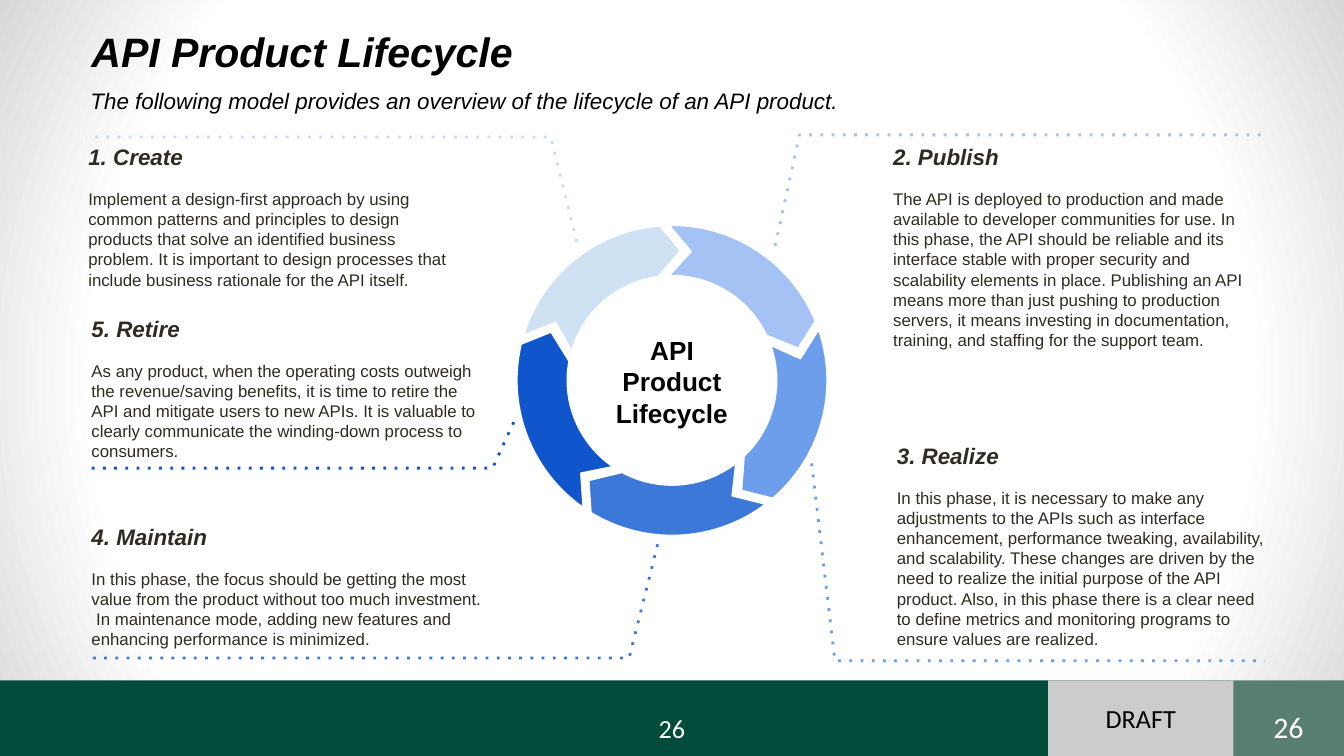
import math

import lxml.etree
import pptx
import pptx.dml.color
import pptx.enum.shapes
import pptx.enum.text
import pptx.oxml
import pptx.oxml.ns
import pptx.util

Cm = pptx.util.Cm
Pt = pptx.util.Pt
qn = pptx.oxml.ns.qn
ANCHOR = pptx.enum.text.MSO_ANCHOR
CENTER = pptx.enum.text.PP_ALIGN.CENTER


def rgb(value):
    return pptx.dml.color.RGBColor.from_string(value)


def add_text(box, paragraphs, color, font="Arial", align=None,
             anchor=ANCHOR.TOP, inset=(0, 0)):
    """Add a text box; paragraphs are (text, size, bold, italic)."""
    tf = s.shapes.add_textbox(*[Cm(v) for v in box]).text_frame
    tf.word_wrap = True
    tf.vertical_anchor = anchor
    tf.margin_left = tf.margin_right = Cm(inset[0])
    tf.margin_top = tf.margin_bottom = Cm(inset[1])
    for i, (text, size, bold, italic) in enumerate(paragraphs):
        p = tf.add_paragraph() if i else tf.paragraphs[0]
        p.text = text
        p.alignment = align
        p.font.name = font
        p.font.size = Pt(size)
        p.font.bold = bold
        p.font.italic = italic
        p.font.color.rgb = rgb(color)
    return tf


prs = pptx.Presentation()
prs.slide_width = Cm(25.4)
prs.slide_height = Cm(14.29)
s = prs.slides.add_slide(prs.slide_layouts[6])

# Background: white centre fading to grey corners
stops = "".join(
    f'<a:gs pos="{pos}"><a:srgbClr val="{color}"/></a:gs>'
    for pos, color in [(0, "FFFFFF"), (75000, "FFFFFF"), (100000, "D8D8D8")])
bg = pptx.oxml.parse_xml(
    f'<p:bg {pptx.oxml.ns.nsdecls("p", "a")}><p:bgPr>'
    f'<a:gradFill rotWithShape="1"><a:gsLst>{stops}</a:gsLst>'
    '<a:path path="circle"><a:fillToRect l="50000" t="50000" r="50000" b="50000"/>'
    '</a:path></a:gradFill><a:effectLst/></p:bgPr></p:bg>')
s._element.cSld.insert(0, bg)

# Footer bars and draft tag
for left, width, color in [(23.28, 2.12, "587E70"), (0, 23.28, "004B3A"),
                           (19.81, 3.5, "CCCCCC")]:
    sp = s.shapes.add_shape(pptx.enum.shapes.MSO_SHAPE.RECTANGLE,
                            Cm(left), Cm(12.86), Cm(width), Cm(1.43))
    sp.shadow.inherit = False
    sp.fill.solid()
    sp.fill.fore_color.rgb = rgb(color)
    sp.line.fill.background()
tf = sp.text_frame
tf.vertical_anchor = ANCHOR.MIDDLE
p = tf.paragraphs[0]
p.text = "DRAFT"
p.alignment = CENTER
p.font.name = "Calibri"
p.font.size = Pt(14)
p.font.color.rgb = rgb("000000")

# Page numbers
for box, size, anchor in [((23.5, 13.26, 1.7, 0.71), 16, ANCHOR.TOP),
                          ((12.04, 13.49, 1.32, 0.56), 14, ANCHOR.MIDDLE)]:
    add_text(box, [("26", size, False, False)], "FFFFFF", "Calibri", CENTER,
             anchor, (0.25, 0.13))

# Title and subtitle
for box, text, size, bold, anchor in [
    ((1.73, 0.37, 22.99, 1.3), "API Product Lifecycle", 22, True, ANCHOR.MIDDLE),
    ((1.71, 1.68, 22.2, 1.07),
     "The following model provides an overview of the lifecycle of an API product.",
     12, False, ANCHOR.TOP),
]:
    tf = add_text(box, [(text, size, bold, True)], "000000", anchor=anchor)
    tf.paragraphs[0].line_spacing = 0.95

# Phases, clockwise: heading, text, text box, dotted leader, leader and ring colours
phases = [
    ("1. Create",
     "Implement a design-first approach by using common patterns and principles "
     "to design products that solve an identified business problem. It is "
     "important to design processes that include business rationale for the API "
     "itself.",
     (1.67, 2.7, 7.01, 3.28),
     [(10.9, 4.57), (10.41, 2.59), (1.63, 2.59)], "C9DAF8", "CFE2F3"),
    ("2. Publish",
     "The API is deployed to production and made available to developer "
     "communities for use. In this phase, the API should be reliable and its "
     "interface stable with proper security and scalability elements in place. "
     "Publishing an API means more than just pushing to production servers, it "
     "means investing in documentation, training, and staffing for the support "
     "team.",
     (16.88, 2.7, 7.01, 1.73),
     [(14.65, 4.65), (15.11, 2.55), (23.9, 2.55)], "A4C2F4", "A4C2F4"),
    ("3. Realize",
     "In this phase, it is necessary to make any adjustments to the APIs such as "
     "interface enhancement, performance tweaking, availability, and "
     "scalability. These changes are driven by the need to realize the initial "
     "purpose of the API product. Also, in this phase there is a clear need to "
     "define metrics and monitoring programs to ensure values are realized.",
     (16.95, 8.35, 6.96, 3.18),
     [(15.34, 8.76), (15.78, 12.49), (23.9, 12.49)], "6D9EEB", "6D9EEB"),
    ("4. Maintain",
     "In this phase, the focus should be getting the most value from the product "
     "without too much investment.  In maintenance mode, adding new features and "
     "enhancing performance is minimized.",
     (1.73, 9.88, 7.37, 2.46),
     [(12.43, 10.29), (11.89, 12.44), (1.65, 12.44)], "3C78D8", "3C78D8"),
    ("5. Retire",
     "As any product, when the operating costs outweigh the revenue/saving "
     "benefits, it is time to retire the API and mitigate users to new APIs. It "
     "is valuable to clearly communicate the winding-down process to consumers.",
     (1.73, 5.95, 7.37, 2.46),
     [(9.71, 7.98), (9.31, 8.85), (1.73, 8.85)], "1155CC", "1155CC"),
]

# Ring geometry: centre and radii; arcs run from start to end degrees
cx, cy = 12.7, 7.19
outer, middle, inner = 2.93, 2.46, 1.98

for n, (heading, text, box, leader, leader_color, color) in enumerate(phases):
    # Dotted leader
    points = [(Cm(x), Cm(y)) for x, y in leader]
    fb = s.shapes.build_freeform(*points[0])
    fb.add_line_segments(points[1:], close=False)
    sp = fb.convert_to_shape()
    sp.shadow.inherit = False
    sp.fill.background()
    sp.line.color.rgb = rgb(leader_color)
    sp.line.width = Pt(1.5)
    ln = sp._element.spPr.find(qn("a:ln"))
    lxml.etree.SubElement(ln, qn("a:prstDash"), val="dot")

    # Heading and description
    tf = add_text(box, [(heading, 12, True, True), (text, 9, False, False)], "2F2B20")
    tf.paragraphs[1].space_before = Pt(10)

    # Ring arrow, a fifth of a turn after the one before; arcs split at the axes
    turn = 72 * n
    start, end = 197 + turn, 265.5 + turn
    axes = [a for a in range(0, 720, 90) if start < a < end]
    outline = [(outer, a, 0) for a in [start, *axes, end]]
    outline += [(middle, 273.7 + turn, 0), (inner, 262.5 + turn, 0),
                (inner, 196.5 + turn, 0), (middle, 206.5 + turn, 0)]
    corners = []
    for radius, degrees, _ in outline:
        a = math.radians(degrees)
        corners.append((Cm(cx + radius * math.cos(a)), Cm(cy + radius * math.sin(a))))
    fb = s.shapes.build_freeform(*corners[0])
    fb.add_line_segments(corners[1:], close=True)
    sp = fb.convert_to_shape()
    sp.shadow.inherit = False
    sp.fill.solid()
    sp.fill.fore_color.rgb = rgb(color)
    sp.line.color.rgb = rgb("FFFFFF")
    sp.line.width = Pt(0.75)

    # Bend the edges that join two points on the same circle
    edges = list(sp._element.iter(qn("a:lnTo")))
    for (r0, d0, _), (r1, d1, _), edge in zip(outline, outline[1:], edges):
        if r0 != r1:
            continue
        a0, a1 = math.radians(d0), math.radians(d1)
        k = 4 / 3 * math.tan((a1 - a0) / 4)
        edge.tag = qn("a:cubicBezTo")
        for i, (a, pull) in enumerate([(a0, k), (a1, -k)]):
            x = Cm(cx + r0 * (math.cos(a) - pull * math.sin(a))) - sp.left
            y = Cm(cy + r0 * (math.sin(a) + pull * math.cos(a))) - sp.top
            edge.insert(i, edge.makeelement(qn("a:pt"), {"x": str(x), "y": str(y)}))

# Ring label
add_text((11.39, 6.07, 2.62, 2.13), [("API Product Lifecycle", 14, True, False)],
         "000000", align=CENTER, inset=(0, 0.25))

prs.save("out.pptx")
